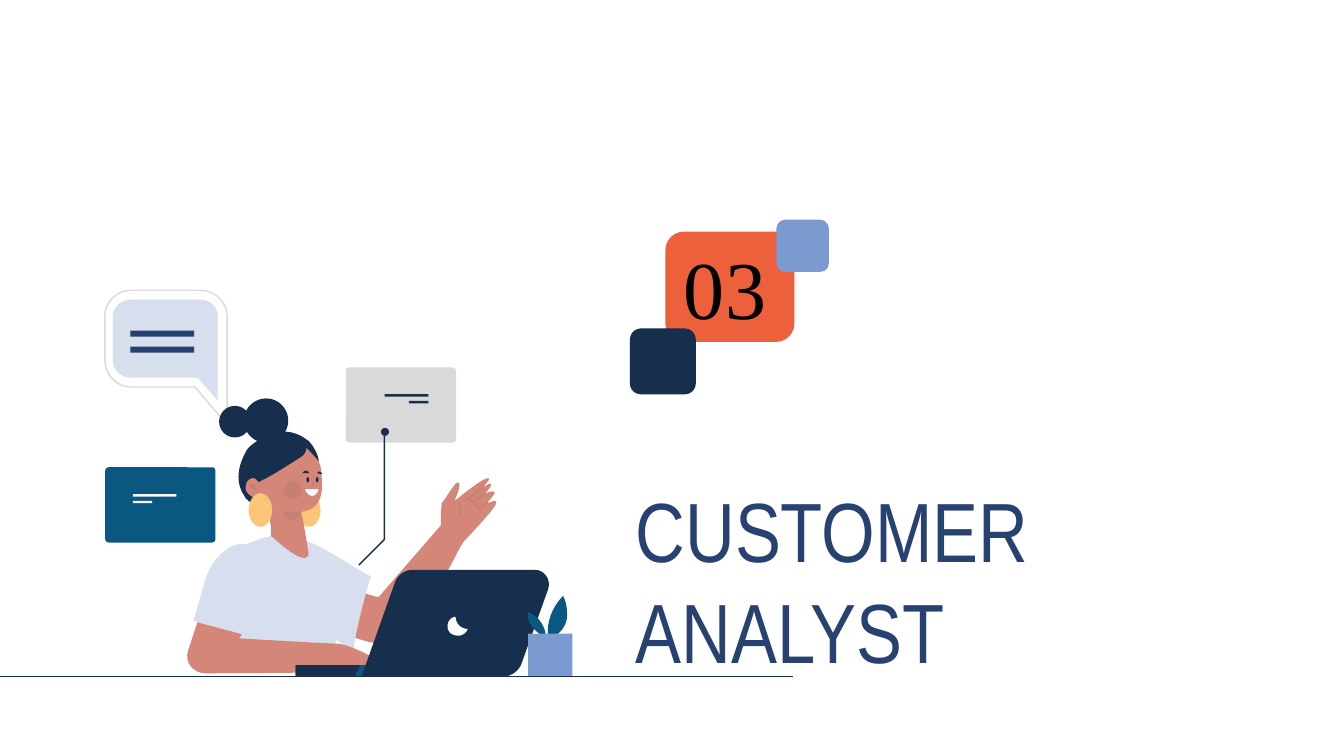
from lxml.etree import SubElement
from pptx import Presentation
from pptx.dml.color import RGBColor
from pptx.enum.shapes import MSO_CONNECTOR, MSO_SHAPE
from pptx.enum.text import MSO_ANCHOR, MSO_AUTO_SIZE, PP_ALIGN
from pptx.oxml.ns import qn
from pptx.util import Inches, Pt

NAVY, BLUE, TEAL, SKY, PALE = "152F4D", "274270", "0A5781", "7A9AD0", "D7DFEE"
SKIN, BLUSH, GOLD, ORANGE = "D48778", "C38073", "FBC578", "EC603C"
GREY, OFF_WHITE, WHITE, BLACK = "D9D9D9", "F8F7F7", "FFFFFF", "000000"
COLS, ROWS = 1000, 562.5  # 16:9 slide grid, one unit is 0.01 inch
CURVE_STEPS = 8


def rgb(hex_colour):
    return RGBColor.from_string(hex_colour)


def trace(path):
    """Points of a path: comma parts of two numbers are corners, of six are curves."""
    points = []
    for part in path.split(","):
        n = [float(v) for v in part.split()]
        if len(n) == 2:
            points.append(tuple(n))
            continue
        (x0, y0), (x1, y1, x2, y2, x3, y3) = points[-1], n
        for step in range(1, CURVE_STEPS + 1):
            t = step / CURVE_STEPS
            a, b, c, d = (1 - t) ** 3, 3 * t * (1 - t) ** 2, 3 * t * t * (1 - t), t ** 3
            points.append((a * x0 + b * x1 + c * x2 + d * x3,
                           a * y0 + b * y1 + c * y2 + d * y3))
    return points


class Region:
    """A box on the slide, divided into a grid of columns and rows."""

    def __init__(self, shapes, box, cols, rows):
        self.shapes = shapes
        self.left, self.top, self.width, self.height = box
        self.cols, self.rows = cols, rows

    def point(self, col, row):
        return (round(self.left + self.width * col / self.cols),
                round(self.top + self.height * row / self.rows))

    def box(self, col, row, cols, rows):
        return (*self.point(col, row), round(self.width * cols / self.cols),
                round(self.height * rows / self.rows))

    def paint(self, shape, fill, line=None):
        shape.shadow.inherit = False
        if fill:
            shape.fill.solid()
            shape.fill.fore_color.rgb = rgb(fill)
        else:
            shape.fill.background()
        if line:
            shape.line.color.rgb = rgb(line)
            shape.line.width = Pt(0.75)
        else:
            shape.line.fill.background()
        return shape

    def preset(self, kind, fill, *cells):
        return self.paint(self.shapes.add_shape(kind, *self.box(*cells)), fill)

    def rect(self, fill, *cells):
        return self.preset(MSO_SHAPE.RECTANGLE, fill, *cells)

    def oval(self, fill, *cells):
        return self.preset(MSO_SHAPE.OVAL, fill, *cells)

    def rounded(self, fill, radius, *cells):
        shape = self.preset(MSO_SHAPE.ROUNDED_RECTANGLE, fill, *cells)
        shape.adjustments[0] = radius
        return shape

    def outline(self, path, fill=None, line=None, close=True):
        points = [self.point(*p) for p in trace(path)]
        builder = self.shapes.build_freeform(*points[0])
        builder.add_line_segments(points[1:], close=close)
        return self.paint(builder.convert_to_shape(), fill, line)

    def stroke(self, colour, start, end):
        line = self.shapes.add_connector(
            MSO_CONNECTOR.STRAIGHT, *self.point(*start), *self.point(*end))
        line.line.color.rgb = rgb(colour)
        line.line.width = Pt(0.75)
        SubElement(line._element.spPr, qn("a:effectLst"))


def speech_bubble(shapes, box):
    bubble = Region(shapes, box, 91, 100)
    bubble.outline("91 19, 91 9 82 0 71 0, 19 0, 9 0 0 9 0 19, 0 52, 0 63 9 72 19 72,"
                   "67 72, 91 100", line=GREY)
    bubble.outline("19 65, 69 65, 84 82, 84 19, 84 13 79 7 71 7, 19 7,"
                   "13 7 6 12 6 19, 6 52, 6 59 12 65 19 65", PALE)
    for row in (30, 42):
        bubble.rect(BLUE, 19, row, 47.5, 4.5)


def woman(shapes, box):
    figure = Region(shapes, box, COLS, ROWS)
    # Far earring, raised arm and hand
    figure.oval(GOLD, 221, 368, 17.5, 24)
    figure.outline(
        "345 403, 342 405 314 471 289 478, 289 478 271 486 227 452, 240 429,"
        "240 429 280 446 282 444, 328 391, 328 391 328 376 329 374,"
        "333 369 339 358 341 359, 344 360 338 373 338 373, 338 373 356 358 362 356,"
        "368 354 358 364 358 364, 358 364 364 359 365 360, 367 361 361 367 361 367,"
        "361 367 369 364 368 367, 367 369 362 375 362 375, 362 375 371 370 369 375,"
        "368 379 345 403 345 403", SKIN)
    for start, end in (((360, 362), (349, 371)), ((361, 367), (352, 374)),
                       ((363, 374), (357, 378))):
        figure.stroke(BLUSH, start, end)
    for crease in ("346 370, 346 370 355 374 358 381", "341 374, 341 374 344 378 342 385"):
        figure.outline(crease, line=BLUSH, close=False)
    # Far sleeve, hair, face and neck
    figure.outline("263 484, 240 471 219 453 211 448, 203 442 205 412 218 403,"
                   "227 396 253 417 276 429, 274 434 264 471 263 484", PALE)
    figure.outline("180 366, 175 356 178 345 183 336, 185 332 190 329 196 325,"
                   "206 319 219 320 228 327, 232 329 238 340 237 344, 221 382,"
                   "207 380 186 381 180 366", NAVY)
    figure.outline("197 355, 196 356 193 361 191 357, 190 355 184 355 183 361,"
                   "181 367 189 371 192 371, 194 371 200 381 201 388,"
                   "203 396 200 412 200 412, 200 412 219 421 230 414,"
                   "230 414 225 382 224 381, 235 379 242 374 239 351,"
                   "239 348 238 345 237 343, 232 337 223 329 224 327,"
                   "221 327 206 332 197 355", SKIN)
    figure.outline("224 381, 224 381 221 382 216 381, 210 381, 214 386,"
                   "219 389 223 384 224 381", BLUSH)
    figure.outline("219 323, 219 323 228 325 228 333, 228 336 226 339 224 340,"
                   "216 345 195 359 192 358, 180 352 198 322 219 323", NAVY)
    # Cheek, eyes, nose, brows and ear
    figure.oval(BLUSH, 211, 358, 13.4, 13.4)
    for eye in (235, 228):
        figure.oval(NAVY, eye, 355, 2, 4)
    figure.outline("233 352, 234 362, 232 362", BLUSH)
    figure.outline("230 352, 230 352 228 348 225 352", NAVY)
    figure.outline("236 352, 236 352 238 349 240 353", NAVY)
    figure.outline("185 362, 185 362 189 356 192 366", BLUSH)
    # Hair buns
    figure.oval(NAVY, 181.5, 296.5, 33, 33)
    figure.oval(NAVY, 163, 302, 23.5, 23.5)
    # Shirt, near sleeve and near arm
    figure.outline("230 409, 229 410 250 450 251 463, 253 478 243 497 243 499, 154 501,"
                   "154 501 157 410 181 406, 181 406 197 399 202 399,"
                   "202 399 232 428 230 409", PALE)
    figure.outline("188 474, 144 462, 153 431, 156 418 171 402 183 405,"
                   "195 408 202 421 199 433", PALE)
    figure.outline("180 472, 178 475, 178 475 245 479 252 479, 260 479 300 498 281 500,"
                   "278 500 192 501 153 501, 144 501 137 493 140 484, 147 463", SKIN)
    # Smile and near earring
    figure.outline("227 364, 237 364, 237 364 236 369 232 369, 228 368 227 364 227 364",
                   OFF_WHITE)
    figure.oval(GOLD, 185, 367, 17.5, 25)


def laptop(shapes, box):
    computer = Region(shapes, box, COLS, ROWS)
    computer.rect(TEAL, 220, 495, 73, 8.5)
    computer.outline("220 495, 268 495, 264 503.5, 220 503.5", NAVY)
    computer.outline("375 503.5, 269 503.5, 294 433, 296 428 301 424 307 424, 398 424,"
                     "405 424 410 431 408 438, 388 494, 386 499 381 503 375 503.5", NAVY)
    computer.outline("348 468, 343 468 339 464 339 459, 336 459 333 462 333 466,"
                     "333 470 336 473 341 473, 344 473 347 471 348 468", WHITE)


def plant(shapes, box):
    pot = Region(shapes, box, 33, 60)
    pot.outline("13 32, 10 29 6 27 4 24, 1 21 -1 17 0 12, 8 15 14 24 13 32", TEAL)
    pot.outline("15 32, 13 20 18 8 26 0, 28 4 29 9 29 14, 29 22 24 29 15 32", TEAL)
    pot.rect(SKY, 0, 28, 33, 32)


def card(shapes, box, fill, ink, mirrored=False):
    panel = Region(shapes, box, 82, 56)
    panel.rounded(fill, 0.045, 0, 0, 82, 56)
    margin = 20.5
    for row, length in ((25, 14.5), (20, 32.5)):
        col = 82 - margin - length if mirrored else margin
        panel.rect(ink, col, row, length, 1.8)


def pointer(shapes, box):
    callout = Region(shapes, box, 23, 102)
    callout.outline("0 102, 19 83, 19 3", line=NAVY, close=False)
    callout.oval(NAVY, 16.5, 0, 6, 6)


def number_badge(shapes, box):
    badge = Region(shapes, box, 148, 130)
    tile = badge.rounded(ORANGE, 0.167, 26.4, 9, 96, 82)
    frame = tile.text_frame
    frame.word_wrap = True
    frame.vertical_anchor = MSO_ANCHOR.MIDDLE
    frame.margin_left = frame.margin_right = Inches(0.1)
    frame.margin_top = frame.margin_bottom = Inches(0.1)
    add_text(frame, "03", "Times New Roman", 44, BLACK)
    badge.rounded(SKY, 0.167, 109, 0, 39, 39)
    badge.rounded(NAVY, 0.167, 0, 81, 49, 49)


def headline(title, box):
    title.left, title.top, title.width, title.height = box
    frame = title.text_frame
    frame.word_wrap = True
    frame.auto_size = MSO_AUTO_SIZE.SHAPE_TO_FIT_TEXT
    frame.vertical_anchor = MSO_ANCHOR.TOP
    add_text(frame, "CUSTOMER ANALYST", "Arial Narrow", 45, BLUE)


def add_text(frame, words, font, size, colour):
    paragraph = frame.paragraphs[0]
    paragraph.alignment = PP_ALIGN.LEFT
    run = paragraph.add_run()
    run.text = words
    run.font.name, run.font.size = font, Pt(size)
    run.font.color.rgb = rgb(colour)


def main():
    deck = Presentation()
    deck.slide_width = Inches(10)
    deck.slide_height = deck.slide_width * 9 // 16
    slide = deck.slides.add_slide(deck.slide_layouts[5])
    whole = (0, 0, deck.slide_width, deck.slide_height)
    page = Region(slide.shapes, whole, COLS, ROWS)

    # Illustration, from back to front
    scene = slide.shapes.add_group_shape().shapes
    speech_bubble(scene, page.box(78, 216, 91, 100))
    woman(scene, whole)
    laptop(scene, whole)
    plant(scene, page.box(393, 443.4, 33, 60))
    card(scene, page.box(78.3, 347.7, 82, 56), TEAL, OFF_WHITE)
    card(scene, page.box(257.3, 273.4, 82, 56), GREY, NAVY, mirrored=True)
    pointer(scene, page.box(267, 318.4, 23, 102))

    # Desk line, section number and title
    page.stroke(NAVY, (-46, 503.4), (590, 503.4))
    number_badge(slide.shapes.add_group_shape().shapes, page.box(468.7, 163.4, 148, 130))
    headline(slide.shapes.title, page.box(463, 351, 513, 86))
    deck.save("out.pptx")


if __name__ == "__main__":
    main()
